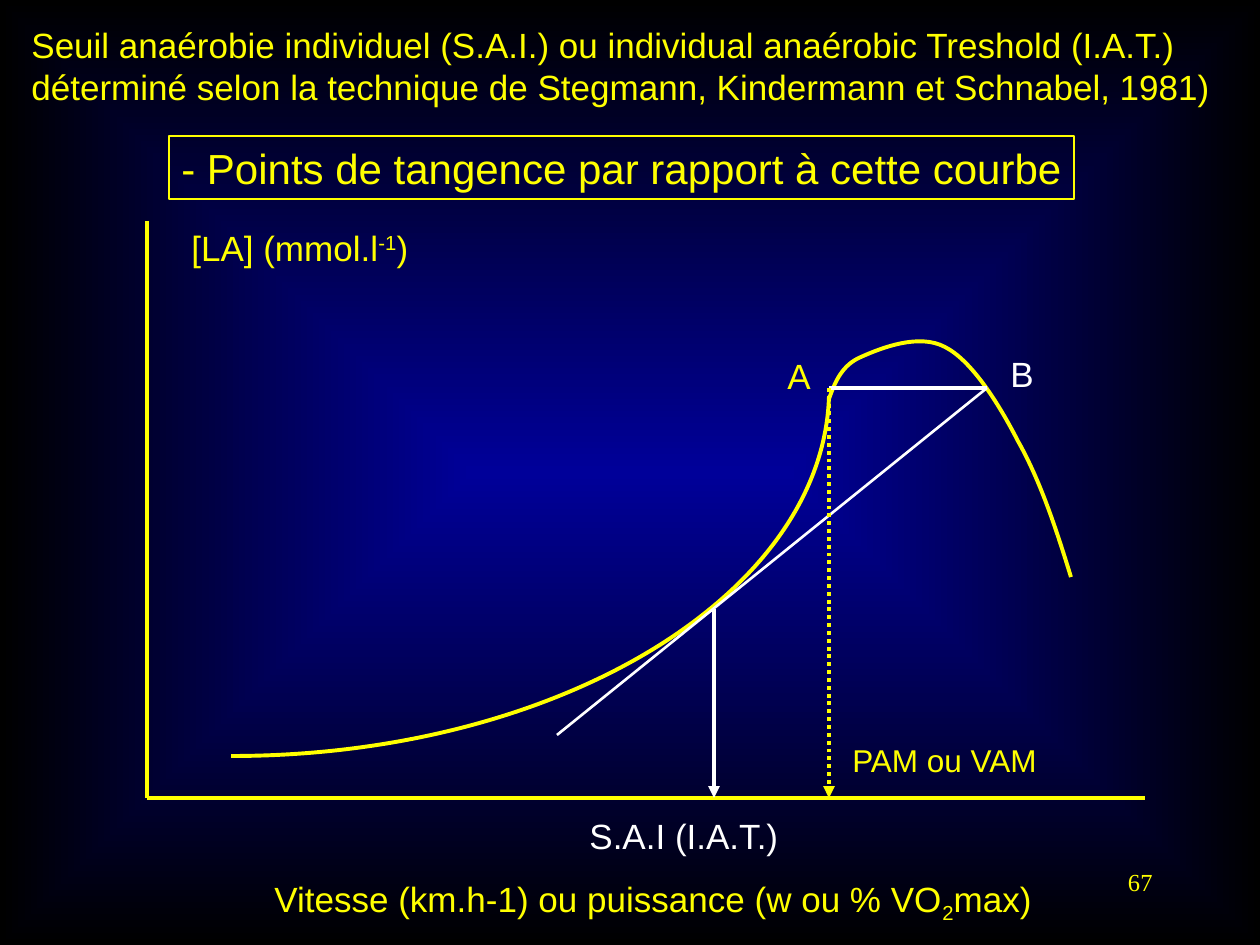
from lxml.etree import SubElement
from pptx import Presentation
from pptx.dml.color import RGBColor
from pptx.enum.dml import MSO_LINE
from pptx.enum.shapes import MSO_CONNECTOR, MSO_SHAPE
from pptx.enum.text import MSO_ANCHOR, MSO_AUTO_SIZE, PP_ALIGN
from pptx.oxml.ns import qn
from pptx.util import Pt

PX = 914400 / 126
YELLOW, WHITE = "FFFF00", "FFFFFF"


def px(*lengths):
    return [round(length * PX) for length in lengths]


def color(hex_code):
    return RGBColor.from_string(hex_code)


deck = Presentation()
deck.slide_width, deck.slide_height = px(1260, 945)
page = deck.slides.add_slide(deck.slide_layouts[6])

# Background: blue centre fading to black edges
fill = page.background.fill
fill.gradient()
for stop, position, hex_code in zip(fill.gradient_stops, (0, 1), ("000099", "000000")):
    stop.position = position
    stop.color.rgb = color(hex_code)
gradient = page.element.find(".//" + qn("a:gradFill"))
gradient.remove(gradient.find(qn("a:lin")))
shade = SubElement(gradient, qn("a:path"))
shade.set("path", "rect")
centre = SubElement(shade, qn("a:fillToRect"))
for side in "ltrb":
    centre.set(side, "50000")

# Lactate curve: rise up to A, then peak and fall, as cubic Bezier chains
curves = [
    [(829, 396), (823, 596), (557, 756), (231, 756)],
    [(829, 399), (835, 382), (842, 365), (861, 357), (881, 348), (919, 333), (945, 347),
     (971, 360), (998, 402), (1018, 441), (1040, 480), (1056, 528), (1071, 577)],
]
for start, *controls in curves:
    builder = page.shapes.build_freeform(*start, PX)
    builder.add_line_segments(controls, close=False)
    curve = builder.convert_to_shape()
    curve.shadow.inherit = False
    curve.fill.background()
    curve.line.color.rgb = color(YELLOW)
    curve.line.width = Pt(2.25)
    # Every three straight segments become one Bezier segment
    segments = list(curve.element.iter(qn("a:lnTo")))
    outline = segments[0].getparent()
    for first in range(0, len(segments), 3):
        bezier = SubElement(outline, qn("a:cubicBezTo"))
        for segment in segments[first:first + 3]:
            bezier.append(segment[0])
            outline.remove(segment)

# Axes, chord A-B, tangent and the two thresholds: ends, colour, width, arrow, dotted
lines = [
    ((147, 221, 147, 798), YELLOW, 2.25, False, False),
    ((147, 798, 1145, 798), YELLOW, 2.25, False, False),
    ((829, 388, 987, 388), WHITE, 2.25, False, False),
    ((987, 388, 557, 735), WHITE, 1.5, False, False),
    ((714, 609, 714, 798), WHITE, 2.25, True, False),
    ((829, 388, 829, 798), YELLOW, 2.25, True, True),
]
for ends, hex_code, width, arrow, dotted in lines:
    connector = page.shapes.add_connector(MSO_CONNECTOR.STRAIGHT, *px(*ends))
    connector.line.color.rgb = color(hex_code)
    connector.line.width = Pt(width)
    if dotted:
        connector.line.dash_style = MSO_LINE.ROUND_DOT
    if arrow:
        SubElement(connector.line._get_or_add_ln(), qn("a:tailEnd")).set("type", "triangle")
    SubElement(connector.element.spPr, qn("a:effectLst"))

# Texts: place, size, colour, paragraphs of (text, baseline in percent) runs
texts = [
    ((179, 220, 242, 55), 20, YELLOW, [[("[LA] (mmol.l", 0), ("-1", 30), (")", 0)]]),
    ((262, 871, 858, 60), 20, YELLOW,
     [[("Vitesse (km.h-1) ou puissance (w ou % VO", 0), ("2", -25), ("max)", 0)]]),
    ((577, 808, 218, 55), 20, WHITE, [[("S.A.I (I.A.T.)", 0)]]),
    ((775, 348, 48, 55), 20, YELLOW, [[("A", 0)]]),
    ((998, 346, 48, 55), 20, WHITE, [[("B", 0)]]),
    ((840, 735, 214, 50), 18, YELLOW, [[("PAM ou VAM", 0)]]),
    ((19, 17, 1205, 97), 20, YELLOW, [
        [("Seuil anaérobie individuel (S.A.I.) ou individual anaérobic Treshold (I.A.T.)", 0)],
        [("déterminé selon la technique de Stegmann, Kindermann et Schnabel, 1981)", 0)],
    ]),
    ((169, 136, 905, 63), 24, YELLOW,
     [[("- Points de tangence par rapport à cette courbe", 0)]]),
    ((903, 861, 262, 63), 14, YELLOW, [[("67", 0)]]),
]
for place, size, hex_code, paragraphs in texts:
    framed = size == 24
    page_number = size == 14
    if framed:
        box = page.shapes.add_shape(MSO_SHAPE.RECTANGLE, *px(*place))
        box.shadow.inherit = False
        box.fill.background()
        box.line.color.rgb = color(YELLOW)
        box.line.width = Pt(0.75)
    else:
        box = page.shapes.add_textbox(*px(*place))
    frame = box.text_frame
    frame.word_wrap = page_number
    frame.auto_size = MSO_AUTO_SIZE.NONE if page_number else MSO_AUTO_SIZE.SHAPE_TO_FIT_TEXT
    frame.vertical_anchor = MSO_ANCHOR.TOP
    for index, runs in enumerate(paragraphs):
        para = frame.add_paragraph() if index else frame.paragraphs[0]
        para.alignment = PP_ALIGN.RIGHT if page_number else PP_ALIGN.LEFT
        para.font.name = "Times New Roman" if page_number else "Arial"
        para.font.size = Pt(size)
        para.font.color.rgb = color(hex_code)
        for text, baseline in runs:
            span = para.add_run()
            span.text = text
            if baseline:
                span.font._element.set("baseline", str(baseline * 1000))

deck.save("out.pptx")
